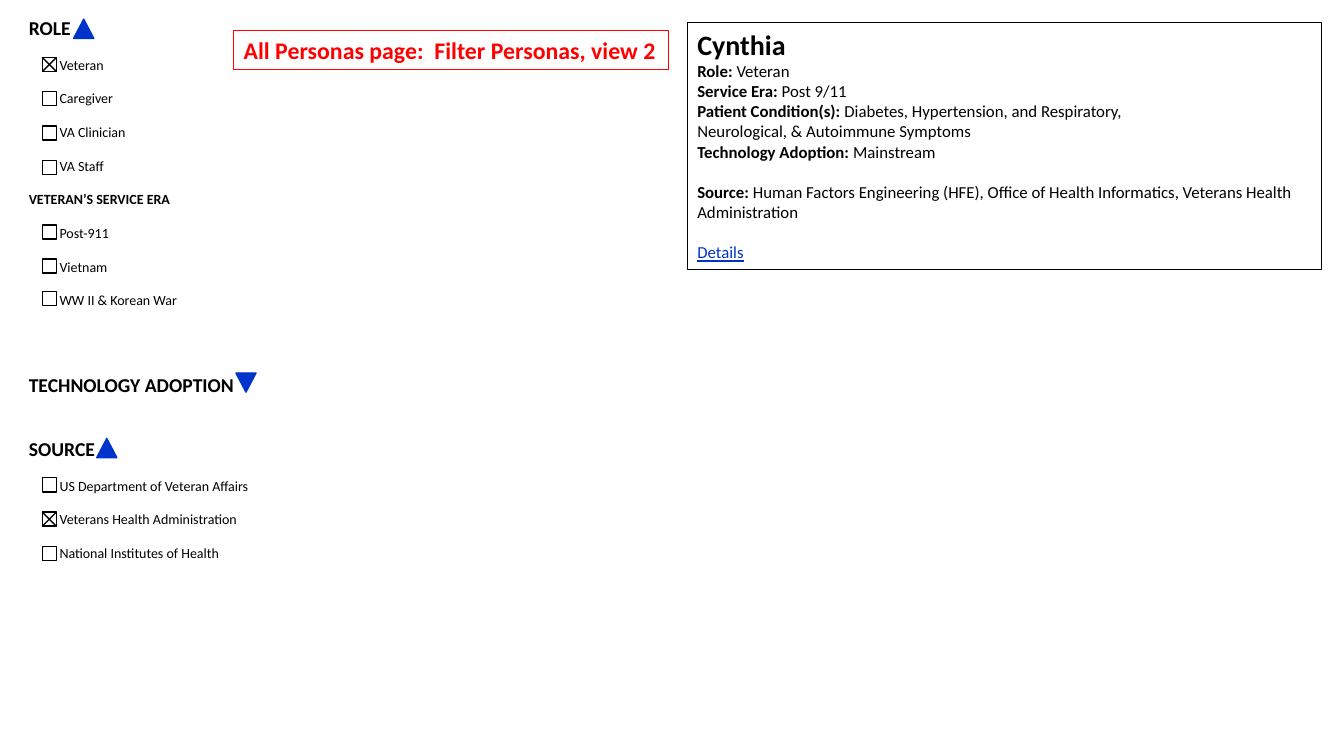
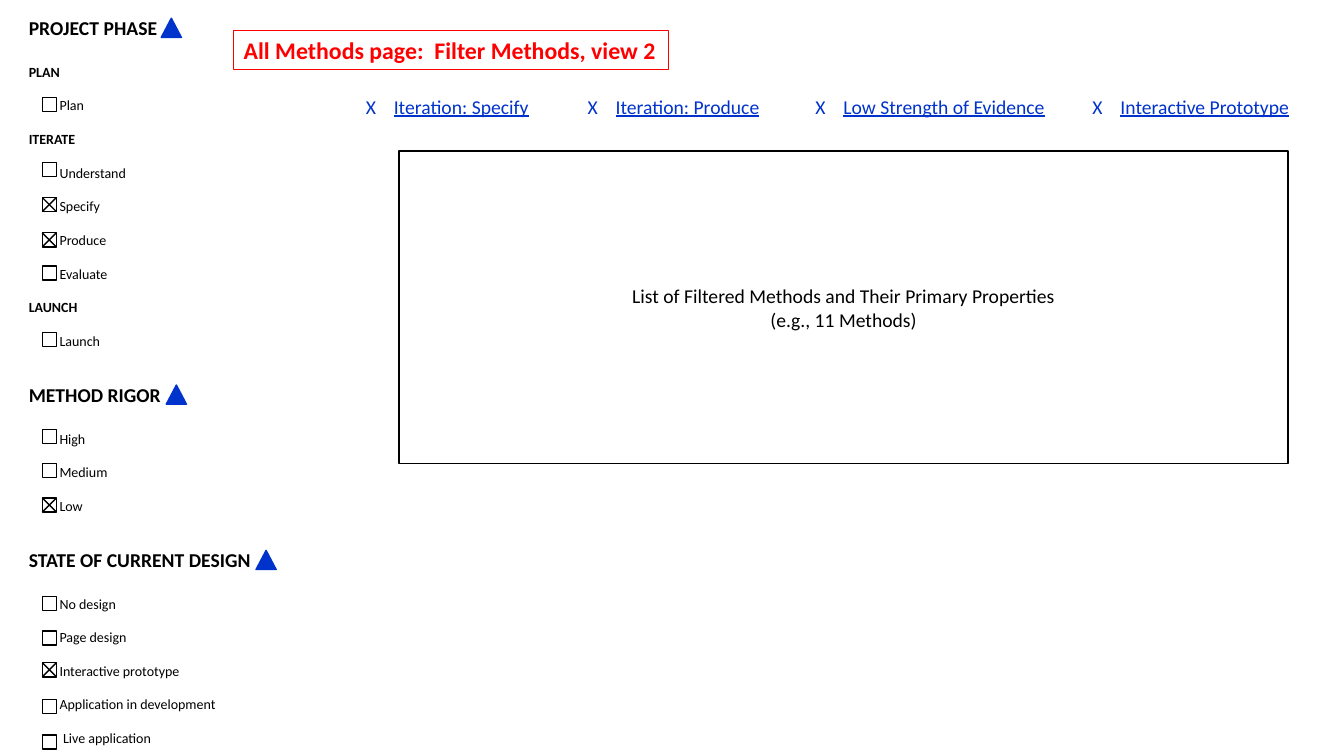
from dataclasses import dataclass

from lxml import etree
from pptx import Presentation
from pptx import util as u
from pptx.dml.color import RGBColor
from pptx.enum import shapes, text
from pptx.oxml import ns

Pt = u.Pt


@dataclass(frozen=True)
class Theme:
    font: str = "Calibri"
    ink: RGBColor = RGBColor(0x00, 0x00, 0x00)
    paper: RGBColor = RGBColor(0xFF, 0xFF, 0xFF)
    link: RGBColor = RGBColor(0x00, 0x33, 0xCC)
    banner: RGBColor = RGBColor(0xFF, 0x00, 0x00)
    name_size: float = 20
    banner_size: float = 17
    heading_size: float = 14
    card_size: float = 12
    option_size: float = 10
    thin: float = 0.75
    rule: float = 1


THEME = Theme()
ROW_GAP = 12
CARD_GAP = 14.4
CHECK_LEFT, CHECK_SIZE = 30.2, 10.1
OPTION_INDENT = 22
CHIP_TAB = 20


@dataclass(frozen=True)
class Area:
    left: float
    top: float
    width: float
    height: float


@dataclass(frozen=True)
class Subheading:
    label: str


@dataclass(frozen=True)
class Option:
    label: str
    box_top: float
    checked: bool = False
    indent: float = OPTION_INDENT


@dataclass(frozen=True)
class Section:
    title: str
    arrow_left: float
    arrow_top: float
    rows: tuple = ()
    gap_above: float = 0
    gap_below: float = ROW_GAP


@dataclass(frozen=True)
class Fact:
    label: str
    value: str
    gap: float = 0


@dataclass(frozen=True)
class Chip:
    label: str
    left: float
    width: float


PERSONA_FILTERS = (
    Section("ROLE", 52.6, 13.7, (
        Option("Veteran", 41, True),
        Option("Caregiver", 65.5),
        Option("VA Clinician", 90),
        Option("VA Staff", 114.5),
        Subheading("VETERAN’S SERVICE ERA"),
        Option("Post-911", 160.6),
        Option("Vietnam", 185),
        Option("WW II & Korean War", 208.1),
    )),
    Section("TECHNOLOGY ADOPTION", 168.5, 266.4, gap_above=46),
    Section("SOURCE", 69.1, 313.2, (
        Option("US Department of Veteran Affairs", 341.3),
        Option("Veterans Health Administration", 365.8, True),
        Option("National Institutes of Health", 390.2),
    ), gap_above=29),
)

METHOD_FILTERS = (
    Section("PROJECT PHASE", 115.2, 13, (
        Subheading("PLAN"),
        Option("Plan", 69.8),
        Subheading("ITERATE"),
        Option("Understand", 115.9),
        Option("Specify", 141.1, True),
        Option("Produce", 166.3, True),
        Option("Evaluate", 190.1),
        Subheading("LAUNCH"),
        Option("Launch", 237.6),
    ), gap_below=17),
    Section("METHOD RIGOR", 118.8, 275, (
        Option("High", 306.7),
        Option("Medium", 331.2),
        Option("Low", 355.7, True),
    ), gap_above=24, gap_below=17),
    Section("STATE OF CURRENT DESIGN", 182.9, 393.1, (
        Option("No design", 426.2),
        Option("Page design", 450.7),
        Option("Interactive prototype", 473.4, True),
        Option("Application in development", 499.7),
        Option("Live application", 524.9, indent=24.5),
    ), gap_above=24, gap_below=17),
)

PERSONA_FACTS = (
    Fact("Role: ", "Veteran"),
    Fact("Service Era: ", "Post 9/11"),
    Fact("Patient Condition(s): ", "Diabetes, Hypertension, and Respiratory,"),
    Fact("", "Neurological, & Autoimmune Symptoms"),
    Fact("Technology Adoption: ", "Mainstream"),
    Fact("Source: ", "Human Factors Engineering (HFE), Office of Health Informatics, "
         "Veterans Health Administration", CARD_GAP),
)

METHOD_CHIPS = (
    Chip("Iteration: Specify", 254.2, 131.8),
    Chip("Iteration: Produce", 412.6, 138.2),
    Chip("Low Strength of Evidence", 575.3, 179.3),
    Chip("Interactive Prototype", 773.3, 156.2),
)


def add_span(para, words: str, size: float, color: RGBColor = THEME.ink,
             bold: bool = False, underline: bool = False) -> None:
    span = para.add_run()
    span.text = words
    font = span.font
    font.name, font.size, font.bold = THEME.font, Pt(size), bold
    font.color.rgb = color
    if underline:
        font.underline = True


def next_para(frame, gap: float = 0):
    """Return the empty first paragraph, or a new one set below a gap."""
    first = frame.paragraphs[0]
    if not first.runs:
        return first
    para = frame.add_paragraph()
    para.space_before = Pt(gap)
    return para


def add_text_frame(page, area: Area):
    box = page.shapes.add_textbox(Pt(area.left), Pt(area.top), Pt(area.width), Pt(area.height))
    box.text_frame.word_wrap = True
    box.text_frame.margin_right = 0
    return box.text_frame


def add_figure(page, kind, area: Area, line: RGBColor, weight: float = THEME.rule,
               fill: RGBColor | None = THEME.paper):
    figure = page.shapes.add_shape(kind, Pt(area.left), Pt(area.top),
                                   Pt(area.width), Pt(area.height))
    figure.shadow.inherit = False
    if fill is None:
        figure.fill.background()
    else:
        figure.fill.solid()
        figure.fill.fore_color.rgb = fill
    figure.line.color.rgb = line
    figure.line.width = Pt(weight)
    return figure


def add_panel(page, area: Area, line: RGBColor, weight: float, anchor, align,
              fill: RGBColor | None = THEME.paper):
    """Draw a framed rectangle and return its frame and a paragraph maker."""
    panel = add_figure(page, shapes.MSO_SHAPE.RECTANGLE, area, line, weight, fill)
    frame = panel.text_frame
    frame.word_wrap = True
    frame.vertical_anchor = anchor

    def aligned_para(gap: float = 0):
        para = next_para(frame, gap)
        para.alignment = align
        return para

    return frame, aligned_para


def add_stroke(page, x1: float, y1: float, x2: float, y2: float) -> None:
    stroke = page.shapes.add_connector(shapes.MSO_CONNECTOR.STRAIGHT,
                                       Pt(x1), Pt(y1), Pt(x2), Pt(y2))
    stroke.line.color.rgb = THEME.ink
    stroke.line.width = Pt(THEME.rule)
    etree.SubElement(stroke._element.spPr, ns.qn("a:effectLst"))


def add_checkbox(page, top: float, checked: bool) -> None:
    add_figure(page, shapes.MSO_SHAPE.RECTANGLE,
               Area(CHECK_LEFT, top, CHECK_SIZE, CHECK_SIZE), THEME.ink)
    if checked:
        right, bottom = CHECK_LEFT + CHECK_SIZE, top + CHECK_SIZE
        add_stroke(page, CHECK_LEFT, top, right, bottom)
        add_stroke(page, CHECK_LEFT, bottom, right, top)


def add_arrow(page, section: Section) -> None:
    """Point up for an open section and down for a closed one."""
    arrow = add_figure(page, shapes.MSO_SHAPE.ISOSCELES_TRIANGLE,
                       Area(section.arrow_left, section.arrow_top, 14.4, 13.7),
                       THEME.link, fill=THEME.link)
    if not section.rows:
        arrow.rotation = 180


def add_filters(page, sections: tuple[Section, ...]) -> None:
    frame = add_text_frame(page, Area(13.5, 7.9, 200, 530))
    for section in sections:
        add_span(next_para(frame, section.gap_above), section.title,
                 THEME.heading_size, bold=True)
        add_arrow(page, section)
        for index, row in enumerate(section.rows):
            para = next_para(frame, ROW_GAP if index else section.gap_below)
            is_option = isinstance(row, Option)
            if is_option:
                para._p.get_or_add_pPr().set("marL", str(Pt(row.indent)))
                add_checkbox(page, row.box_top, row.checked)
            add_span(para, row.label, THEME.option_size, bold=not is_option)


def add_banner(page, title: str) -> None:
    frame, new_para = add_panel(page, Area(167, 21.6, 310.3, 28.1), THEME.banner, THEME.thin,
                                text.MSO_ANCHOR.TOP, text.PP_ALIGN.LEFT, fill=None)
    frame.margin_right = 0
    add_span(new_para(), title, THEME.banner_size, THEME.banner, bold=True)


def add_persona_card(page, name: str, facts: tuple[Fact, ...]) -> None:
    _, new_para = add_panel(page, Area(491, 15.8, 453, 177.1), THEME.ink, THEME.thin,
                            text.MSO_ANCHOR.TOP, text.PP_ALIGN.LEFT)
    add_span(new_para(), name, THEME.name_size, bold=True)
    for fact in facts:
        para = new_para(fact.gap)
        if fact.label:
            add_span(para, fact.label, THEME.card_size, bold=True)
        add_span(para, fact.value, THEME.card_size)
    add_span(new_para(CARD_GAP), "Details", THEME.card_size, THEME.link, underline=True)


def add_chip(page, chip: Chip) -> None:
    para = next_para(add_text_frame(page, Area(chip.left, 64.1, chip.width, 24.2)))
    tabs = etree.SubElement(para._p.get_or_add_pPr(), ns.qn("a:tabLst"))
    etree.SubElement(tabs, ns.qn("a:tab"), pos=str(Pt(CHIP_TAB)), algn="l")
    add_span(para, "X\t", THEME.heading_size, THEME.link)
    add_span(para, chip.label, THEME.heading_size, THEME.link, underline=True)


def add_method_list(page, lines: tuple[str, ...]) -> None:
    _, new_para = add_panel(page, Area(285.1, 108, 635, 223.2), THEME.ink, THEME.rule,
                            text.MSO_ANCHOR.MIDDLE, text.PP_ALIGN.CENTER)
    for line in lines:
        add_span(new_para(), line, THEME.heading_size)


def add_page(deck, title: str, filters: tuple[Section, ...]):
    page = deck.slides.add_slide(deck.slide_layouts[6])
    add_filters(page, filters)
    add_banner(page, title)
    return page


def main() -> None:
    deck = Presentation()
    deck.slide_width, deck.slide_height = Pt(960), Pt(540)

    personas = add_page(deck, "All Personas page:  Filter Personas, view 2", PERSONA_FILTERS)
    add_persona_card(personas, "Cynthia", PERSONA_FACTS)

    methods = add_page(deck, "All Methods page:  Filter Methods, view 2", METHOD_FILTERS)
    add_method_list(methods, ("List of Filtered Methods and Their Primary Properties",
                              "(e.g., 11 Methods)"))
    for chip in METHOD_CHIPS:
        add_chip(methods, chip)

    deck.save("out.pptx")


if __name__ == "__main__":
    main()
